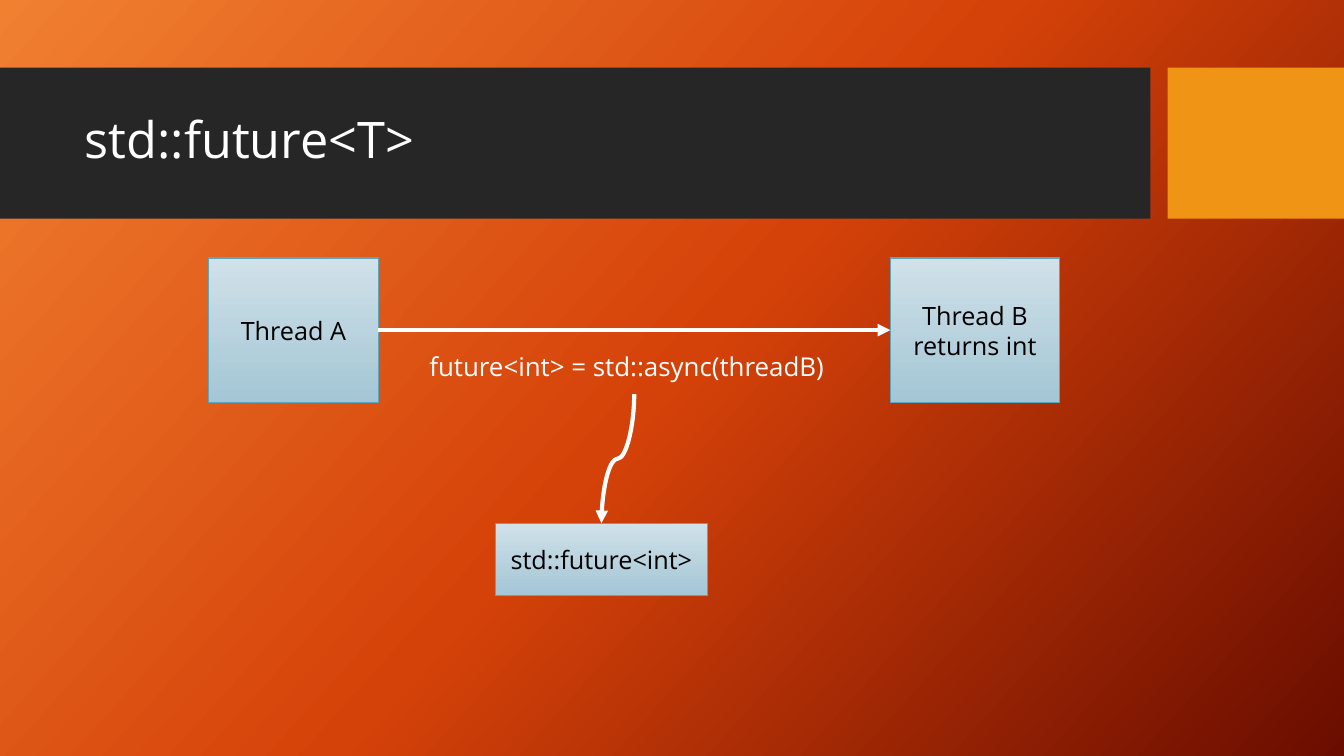
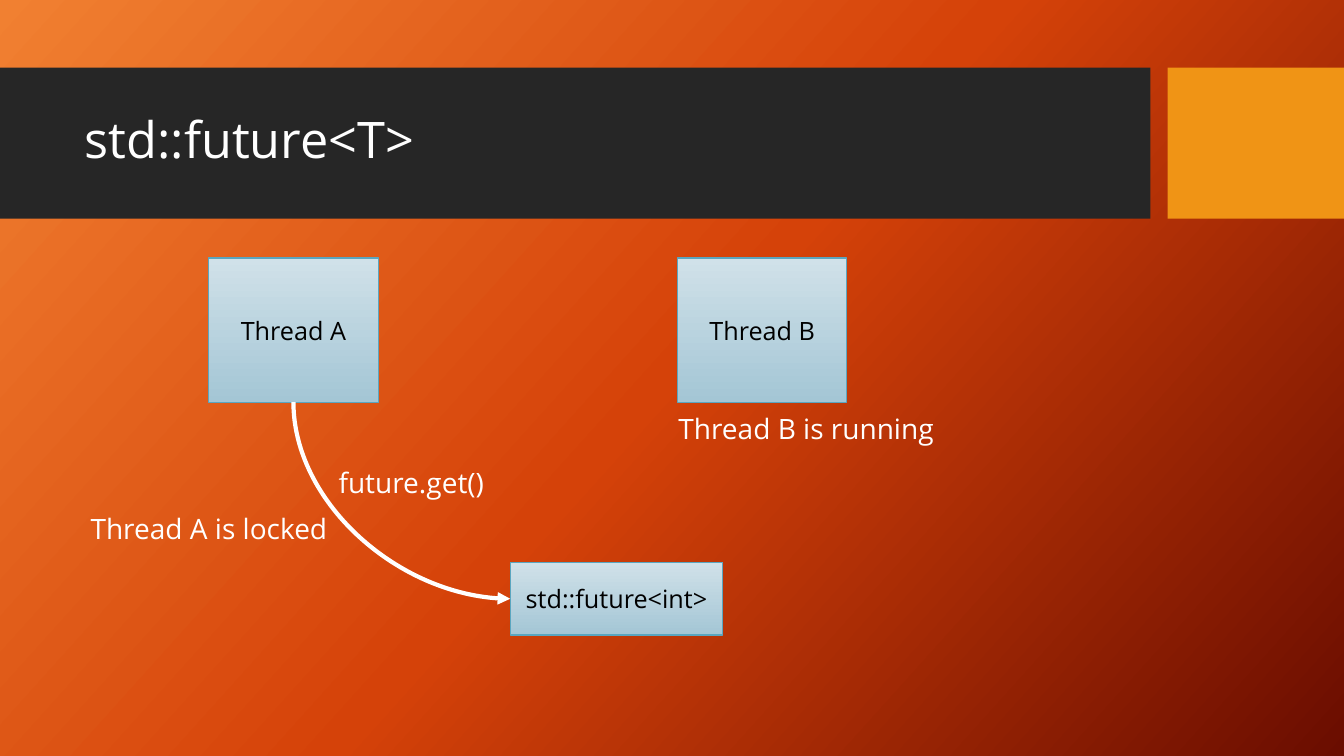
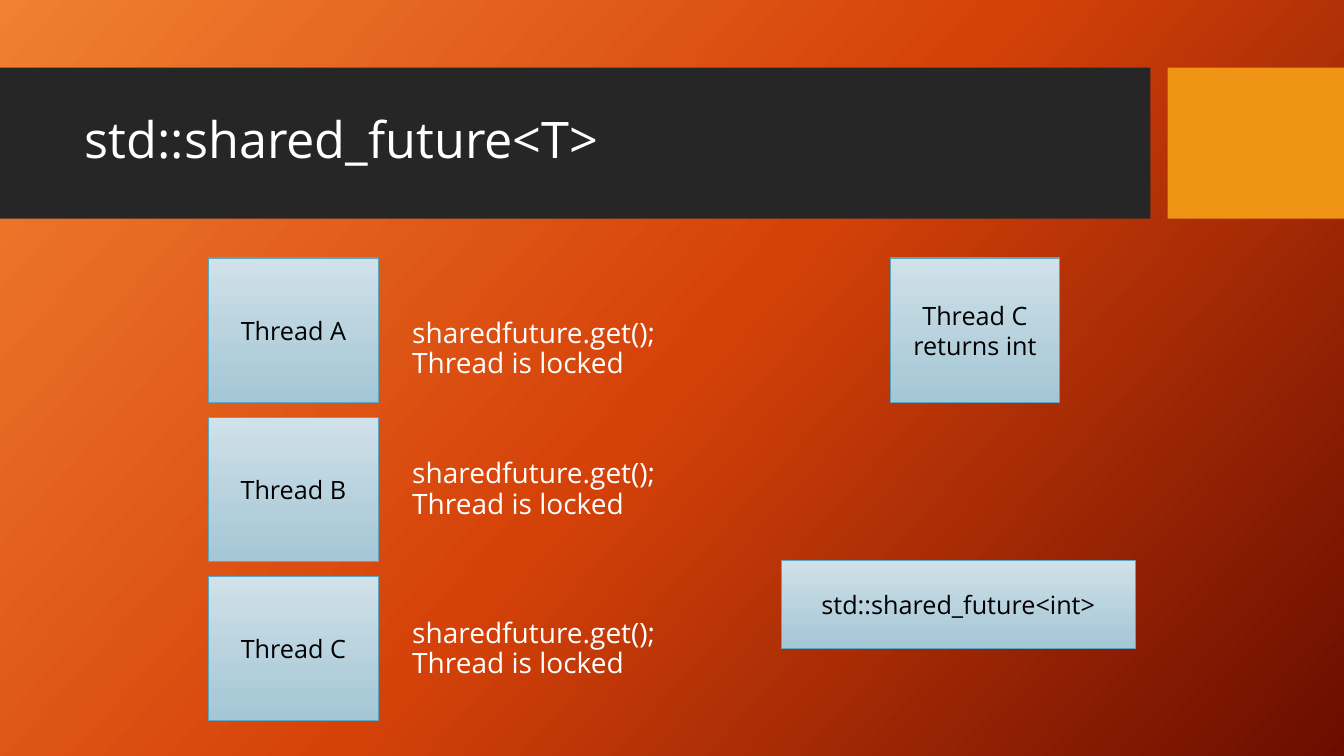
from copy import deepcopy

from lxml import etree
from pptx import Presentation
from pptx.dml.color import RGBColor
from pptx.enum.shapes import MSO_CONNECTOR, MSO_SHAPE
from pptx.enum.text import MSO_ANCHOR, MSO_AUTO_SIZE, PP_ALIGN
from pptx.oxml.ns import qn
from pptx.util import Inches, Pt

RECT = MSO_SHAPE.RECTANGLE
CURVE = MSO_CONNECTOR.CURVE
MIDDLE = MSO_ANCHOR.MIDDLE
LEFT, CENTER = PP_ALIGN.LEFT, PP_ALIGN.CENTER
FIXED = MSO_AUTO_SIZE.NONE

FONT = "Open Sans"
HEX = {
    "white": "FFFFFF", "black": "000000",
    "band": "262626", "accent": "F09415",
    "glow": "F18031", "flame": "D54209", "ember": "6A0D00",
    "pale": "D0E1E9", "steel": "A4C6D5", "edge": "5AA6C0",
}
# Connection sites of a rectangle
TOP, WEST, BOTTOM, EAST = range(4)


def rgb(name):
    return RGBColor.from_string(HEX[name])


class Deck:
    def __init__(self):
        self.prs = Presentation()
        self.prs.slide_width = Inches(13.33)
        self.prs.slide_height = Inches(7.5)
        master = self.prs.slide_master
        self.blend(master, master.background.fill, ["glow", "flame", "ember"], 42)

    def blend(self, owner, fill, names, angle):
        """Evenly spaced gradient; angle runs clockwise."""
        fill.gradient()
        fill.gradient_angle = 360 - angle
        stops = owner.element.find(".//" + qn("a:gsLst"))
        while len(stops) < len(names):
            stops.insert(1, deepcopy(stops[0]))
        for i, (stop, name) in enumerate(zip(fill.gradient_stops, names)):
            stop.position = i / (len(names) - 1)
            stop.color.rgb = rgb(name)

    def put(self, shape, text, size, color, align=LEFT, spacing=None):
        frame = shape.text_frame
        frame.word_wrap = True
        frame.auto_size = FIXED
        frame.vertical_anchor = MIDDLE
        frame.text = text
        for para in frame.paragraphs:
            para.alignment = align
            para.line_spacing = spacing
            para.font.name = FONT
            para.font.size = Pt(size)
            para.font.color.rgb = rgb(color)

    def rect(self, *place):
        shape = self.shapes.add_shape(RECT, *map(Inches, place))
        shape.shadow.inherit = False
        return shape

    def band(self, x, width, color):
        shape = self.rect(x, 0.67, width, 1.5)
        shape.fill.solid()
        shape.fill.fore_color.rgb = rgb(color)
        shape.line.fill.background()

    def slide(self, text):
        layout = self.prs.slide_layouts[5]
        self.shapes = self.prs.slides.add_slide(layout).shapes
        self.band(0, 11.41, "band")
        self.band(11.58, 1.75, "accent")
        title = self.shapes.title
        title.left, title.top = Inches(0.74), Inches(0.82)
        title.width, title.height = Inches(10.51), Inches(1.18)
        self.put(title, text, 36, "white", spacing=0.9)
        # Bring the title in front of the bands
        self.shapes.element.append(title.element)

    def box(self, text, x, y, width=1.68, height=1.43):
        shape = self.rect(x, y, width, height)
        self.blend(shape, shape.fill, ["pale", "steel"], 90)
        shape.line.color.rgb = rgb("edge")
        shape.line.width = Pt(0.75)
        self.put(shape, text, 18, "black", CENTER)
        return shape

    def label(self, text, x, y, width, height, size=20):
        shape = self.shapes.add_textbox(*map(Inches, (x, y, width, height)))
        self.put(shape, text, size, "white", spacing=0.9)
        return shape

    def link(self, start, out, end, into):
        """Curved arrow between two connection sites."""
        wire = self.shapes.add_connector(CURVE, 0, 0, 0, 0)
        wire.begin_connect(start, out)
        wire.end_connect(end, into)
        wire.line.color.rgb = rgb("white")
        wire.line.width = Pt(3)
        props = wire.element.spPr
        etree.SubElement(props.find(qn("a:ln")), qn("a:tailEnd"),
                         type="triangle")
        etree.SubElement(props, qn("a:effectLst"))
        if out == BOTTOM:
            self.turn(wire, bend=into == WEST)

    def turn(self, wire, bend):
        """Let the curve leave downwards; bend makes it a single arc."""
        x1, y1, x2, y2 = wire.begin_x, wire.begin_y, wire.end_x, wire.end_y
        wide, high = abs(y2 - y1), abs(x2 - x1)
        wire.left, wire.top = (x1 + x2 - wide) // 2, (y1 + y2 - high) // 2
        wire.width, wire.height = wide, high
        right = x2 > x1
        frame = wire.element.spPr.find(qn("a:xfrm"))
        frame.set("rot", str((270 if right else 90) * 60000))
        frame.set("flipH", str(int(right)))
        if bend:
            shape = wire.element.spPr.find(qn("a:prstGeom"))
            shape.set("prst", "curvedConnector2")


deck = Deck()

# Slide 1: starting the task
deck.slide("std::future<T>")
caller = deck.box("Thread A", 2.07, 2.56)
worker = deck.box("Thread B\nreturns int", 8.83, 2.56)
deck.link(caller, EAST, worker, WEST)
call = deck.label("future<int> = std::async(threadB)", 4.16, 3.39, 4.26, 0.52, 18.5)
future = deck.box("std::future<int>", 4.91, 5.19, 2.11, 0.72)
deck.link(call, BOTTOM, future, TOP)

# Slide 2: waiting for the result
deck.slide("std::future<T>")
caller = deck.box("Thread A", 2.07, 2.56)
deck.box("Thread B", 6.72, 2.56)
deck.label("Thread B is running", 6.63, 3.99, 3.36, 0.57)
future = deck.box("std::future<int>", 5.06, 5.58, 2.11, 0.72)
deck.link(caller, BOTTOM, future, WEST)
deck.label("future.get()", 3.26, 4.55, 8.6, 0.52)
deck.label("Thread A is locked", 0.8, 4.81, 3.36, 0.91)

# Slide 3: several threads wait for one result
deck.slide("std::shared_future<T>")
deck.box("Thread C\nreturns int", 8.83, 2.56)
deck.box("std::shared_future<int>", 7.75, 5.56, 3.51, 0.87)
for row, (name, y) in enumerate(zip("ABC", (2.95, 4.34, 5.92))):
    deck.box(f"Thread {name}", 2.07, 2.56 + 1.58 * row)
    deck.label("sharedfuture.get();\nThread is locked", 3.99, y, 2.65, 1.04)

deck.prs.save("out.pptx")
